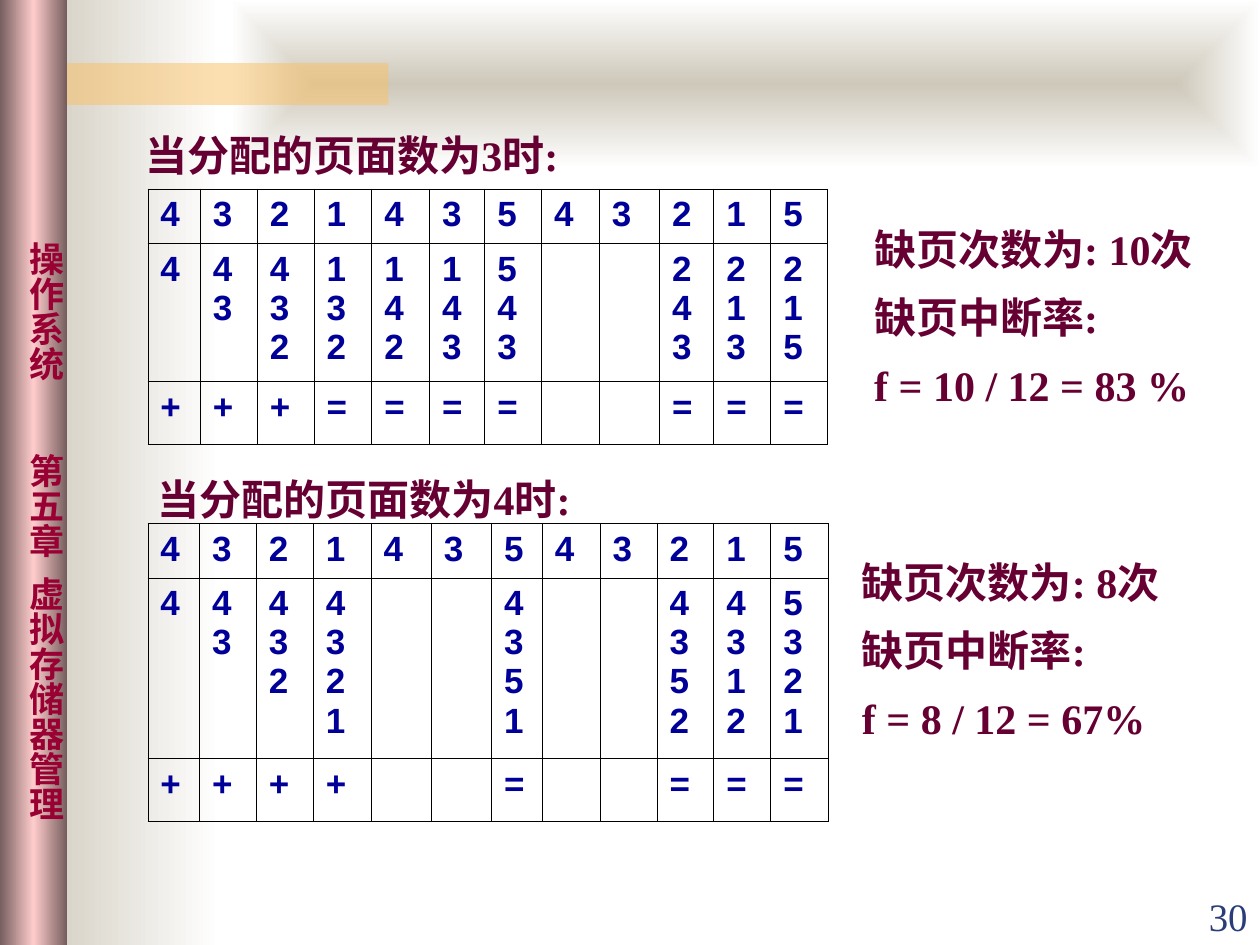
from lxml.etree import SubElement
from pptx import Presentation
from pptx.dml.color import RGBColor
from pptx.enum.shapes import MSO_SHAPE
from pptx.enum.text import MSO_ANCHOR, PP_ALIGN
from pptx.oxml import parse_xml
from pptx.oxml.ns import nsdecls, qn
from pptx.util import Pt

SANS, SERIF, CJK = "Arial", "Times New Roman", "Noto Sans CJK SC"
PLUM, NAVY, CRIMSON, SLATE = "660033", "000099", "990033", "2A3D7A"
STONE, WHITE, AMBER = "CEC8BA", "FFFFFF", "FAC164"
LINEAR = '<a:lin ang="0" scaled="0"/>'
FROM_CENTRE = '<a:path path="rect"><a:fillToRect l="50000" t="50000" r="50000" b="50000"/></a:path>'

SIDE_TITLE = "操作系统\t第五章\t虚拟存储器管理"
SIDE_TABS = (121.5, 191.5)
REQUESTS = "4 3 2 1 4 3 5 4 3 2 1 5".split()

# "-" marks a request that causes no page fault
CASES = [
    dict(
        heading="当分配的页面数为3时:", heading_at=(76, 60.5),
        frames="4 43 432 132 142 143 543 - - 243 213 215".split(),
        faults="+ + + = = = = - - = = =".split(),
        table_at=(84.5, 108), heights=(31, 79, 36),
        widths=(30, 32.5, 32.5, 33, 33, 31.5, 32.5, 33, 34.5, 31, 32.5, 32.5),
        notes=["缺页次数为: 10次", "缺页中断率:", "f = 10 / 12 = 83 %"],
        notes_at=(492.5, 114, 208, 124),
    ),
    dict(
        heading="当分配的页面数为4时:", heading_at=(83, 257),
        frames="4 43 432 4321 - - 4351 - - 4352 4312 5321".split(),
        faults="+ + + + - - = - - = = =".split(),
        table_at=(84.5, 299), heights=(31, 103, 36),
        widths=(29.5, 32.5, 32.5, 33, 34.5, 34.5, 29, 33, 32.5, 32.5, 32.5, 33),
        notes=["缺页次数为: 8次", "缺页中断率:", "f = 8 / 12 = 67%"],
        notes_at=(485.5, 304, 196, 124),
    ),
]


def color(value):
    return RGBColor.from_string(value)


def set_font(para, name, size, value, bold=True):
    font = para.font
    font.name, font.size, font.bold = name, Pt(size), bold
    font.color.rgb = color(value)


def add_panel(page, left, top, width, height, fill):
    panel = page.shapes.add_shape(MSO_SHAPE.RECTANGLE, Pt(left), Pt(top), Pt(width), Pt(height))
    panel.shadow.inherit = False
    panel.line.fill.background()
    panel.fill.solid()
    panel.fill.fore_color.rgb = color(fill)
    return panel


def set_gradient(panel, stops, direction):
    marks = "".join(
        f'<a:gs pos="{percent * 1000}"><a:srgbClr val="{value}"/></a:gs>' for percent, value in stops
    )
    properties = panel.fill._xPr
    solid = properties.find(qn("a:solidFill"))
    gradient = f'<a:gradFill {nsdecls("a")} rotWithShape="1"><a:gsLst>{marks}</a:gsLst>{direction}</a:gradFill>'
    properties.replace(solid, parse_xml(gradient))


def add_text(page, lines, place, size, value, bold=True, spacing=None, wrap=True,
             anchor=MSO_ANCHOR.MIDDLE, align=PP_ALIGN.LEFT):
    box = page.shapes.add_textbox(*map(Pt, place))
    frame = box.text_frame
    frame.word_wrap, frame.vertical_anchor = wrap, anchor
    frame.text = "\n".join(lines)
    for para in frame.paragraphs:
        para.alignment = align
        if spacing:
            para.line_spacing = spacing
        set_font(para, SERIF, size, value, bold)


def add_side_title(panel):
    frame = panel.text_frame
    frame.word_wrap, frame.vertical_anchor = True, MSO_ANCHOR.TOP
    frame.margin_left = frame.margin_right = Pt(0)
    frame.margin_top, frame.margin_bottom = Pt(138), Pt(0)
    frame._txBody.bodyPr.set("vert", "eaVert")
    frame.text = SIDE_TITLE
    para = frame.paragraphs[0]
    para.alignment = PP_ALIGN.LEFT
    tabs = SubElement(para._p.get_or_add_pPr(), qn("a:tabLst"))
    for stop in SIDE_TABS:
        SubElement(tabs, qn("a:tab"), pos=str(Pt(stop)), algn="l")
    set_font(para, CJK, 20, CRIMSON)


def set_borders(cell):
    properties = cell._tc.get_or_add_tcPr()
    for index, side in enumerate(("lnL", "lnR", "lnT", "lnB")):
        properties.insert(index, parse_xml(
            f'<a:{side} {nsdecls("a")} w="{Pt(0.45)}"><a:solidFill>'
            f'<a:srgbClr val="000000"/></a:solidFill></a:{side}>'))


def add_page_table(page, case):
    widths, heights = case["widths"], case["heights"]
    rows = [REQUESTS, case["frames"], case["faults"]]
    size = (sum(widths), sum(heights))
    table = page.shapes.add_table(len(rows), len(widths), *map(Pt, case["table_at"] + size)).table
    table.first_row = table.horz_banding = False
    for column, width in zip(table.columns, widths):
        column.width = Pt(width)
    for row, height, values in zip(table.rows, heights, rows):
        row.height = Pt(height)
        for cell, value in zip(row.cells, values):
            cell.fill.background()
            set_borders(cell)
            if value != "-":
                cell.text = "\n".join(value)
            for para in cell.text_frame.paragraphs:
                set_font(para, SANS, 20, NAVY)


def main():
    deck = Presentation()
    deck.slide_width, deck.slide_height = Pt(720), Pt(540)
    page = deck.slides.add_slide(deck.slide_layouts[6])

    fade = add_panel(page, 12, 0, 114, 540, STONE)
    set_gradient(fade, [(0, STONE), (100, WHITE)], LINEAR)
    banner = add_panel(page, 132, 0, 588, 96, STONE)
    set_gradient(banner, [(0, STONE), (100, WHITE)], FROM_CENTRE)
    stripe = add_panel(page, 24, 36, 198, 24, AMBER)
    SubElement(stripe.fill._xPr.find(qn("a:solidFill"))[0], qn("a:alpha"), val="50000")
    spine = add_panel(page, 0, 0, 38.25, 540, STONE)
    set_gradient(spine, [(0, "765E5E"), (50, "FFCCCC"), (100, "765E5E")], LINEAR)
    add_side_title(spine)

    for case in CASES:
        add_page_table(page, case)
        add_text(page, case["notes"], case["notes_at"], 24, PLUM, spacing=1.35, wrap=False)
        add_text(page, [case["heading"]], case["heading_at"] + (306, 46), 24, PLUM, spacing=1.35)
    add_text(page, ["30"], (648, 504.5, 72, 36), 22.2, SLATE, bold=False,
             anchor=MSO_ANCHOR.BOTTOM, align=PP_ALIGN.RIGHT)
    deck.save("out.pptx")


if __name__ == "__main__":
    main()
